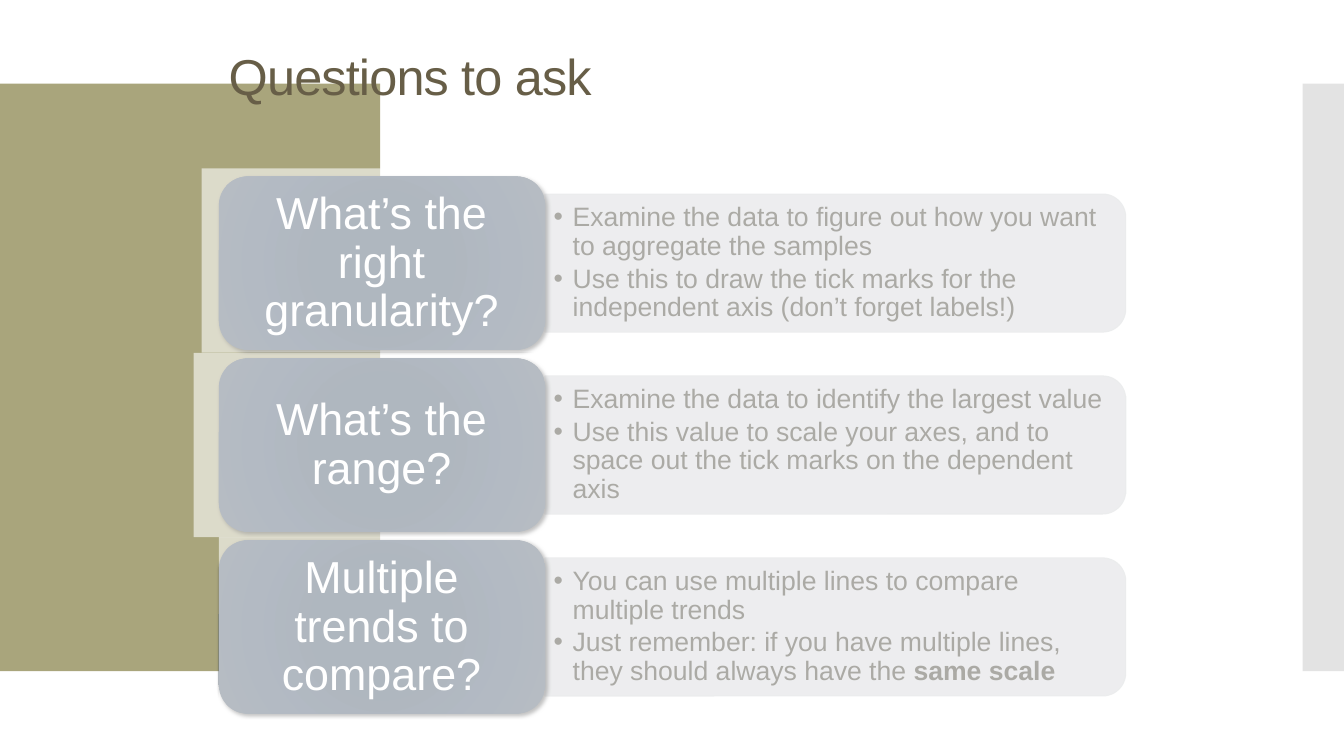
from pptx import Presentation
from pptx.dml.color import RGBColor
from pptx.enum.shapes import MSO_SHAPE
from pptx.enum.text import MSO_ANCHOR, PP_ALIGN
from pptx.oxml import parse_xml
from pptx.oxml.ns import nsdecls
from pptx.util import Inches, Pt

RECT = MSO_SHAPE.RECTANGLE
ROUND = MSO_SHAPE.ROUNDED_RECTANGLE
ROUND_TOP = MSO_SHAPE.ROUND_2_SAME_RECTANGLE
MIDDLE = MSO_ANCHOR.MIDDLE
LEFT, CENTER = PP_ALIGN.LEFT, PP_ALIGN.CENTER
NS = nsdecls("a")

COLORS = {
    "olive": "A9A57C",
    "gray": "C8C8C8",
    "title": "675E47",
    "panel": "CED0D3",
    "body": "2F2B20",
    "white": "FFFFFF",
    "black": "000000",
}
HEADING_STOPS = [(0, "384B60"), (34, "394B5F"), (70, "41546B"), (100, "4B5A6A")]

QUESTIONS = [
    ("What’s the right granularity?", [
        [("Examine the data to figure out how you want to aggregate the samples", False)],
        [("Use this to draw the tick marks for the independent axis "
          "(don’t forget labels!)", False)],
    ]),
    ("What’s the range?", [
        [("Examine the data to identify the largest value", False)],
        [("Use this value to scale your axes, and to space out the tick marks "
          "on the dependent axis", False)],
    ]),
    ("Multiple trends to compare?", [
        [("You can use multiple lines to compare multiple trends", False)],
        [("Just remember: if you have multiple lines, they should always have the ", False),
         ("same scale", True)],
    ]),
]
ROW_TOP, ROW_PITCH = 1.75, 1.805
COVERS = [(2, 1.67), (1.92, 3.5), (2.17, 5.33)]

prs = Presentation()
prs.slide_width, prs.slide_height = Inches(13.33), Inches(7.5)
s = prs.slides.add_slide(prs.slide_layouts[6])


def add_box(kind, x, y, w, h, color, opacity=100):
    """Add a shape without outline or shadow; opacity is a percentage."""
    sp = s.shapes.add_shape(kind, Inches(x), Inches(y), Inches(w), Inches(h))
    sp.shadow.inherit = False
    sp.line.fill.background()
    sp.fill.solid()
    sp.fill.fore_color.rgb = RGBColor.from_string(COLORS[color])
    if opacity < 100:
        clr = sp.fill._xPr.solidFill[0]
        clr.append(parse_xml(f'<a:alpha {NS} val="{opacity * 1000}"/>'))
    return sp


def add_text(x, y, w, h, paragraphs, size, color, inset, align=LEFT,
             bullets=False, tracking=None):
    """Add a text box; each paragraph is a list of (text, bold) runs."""
    tf = s.shapes.add_textbox(Inches(x), Inches(y), Inches(w), Inches(h)).text_frame
    tf.word_wrap = True
    tf.vertical_anchor = MIDDLE
    tf.margin_left = tf.margin_right = Inches(inset[0])
    tf.margin_top = tf.margin_bottom = Inches(inset[1])
    for i, runs in enumerate(paragraphs):
        p = tf.add_paragraph() if i else tf.paragraphs[0]
        p.alignment = align
        p.line_spacing = 0.9
        if bullets:
            p.level = 1
            p.space_before = Pt(2.9 if i else 0)
            pPr = p._p.get_or_add_pPr()
            pPr.set("marL", str(Inches(0.19)))
            pPr.set("indent", str(-Inches(0.19)))
            pPr.append(parse_xml(
                f'<a:buClr {NS}><a:srgbClr val="{COLORS[color]}"/></a:buClr>'))
            pPr.append(parse_xml(f'<a:buFont {NS} typeface="Arial"/>'))
            pPr.append(parse_xml(f'<a:buChar {NS} char="•"/>'))
        for text, bold in runs:
            r = p.add_run()
            r.text = text
            r.font.name, r.font.size, r.font.bold = "Arial", Pt(size), bold
            r.font.color.rgb = RGBColor.from_string(COLORS[color])
            if tracking is not None:
                r._r.get_or_add_rPr().set("spc", str(round(tracking * 100)))


# Side bands and title
add_box(RECT, 0, 0.83, 3.77, 5.83, "olive")
add_box(RECT, 12.92, 0.83, 0.42, 5.83, "gray", opacity=50)
add_text(2.17, 0.25, 9, 1.08, [[("Questions to ask", False)]], 36, "title",
         inset=(0.1, 0.05), tracking=-0.6)

# One row per question: answer panel on the right, heading on the left
for row, (heading, answers) in enumerate(QUESTIONS):
    top = ROW_TOP + row * ROW_PITCH

    panel = add_box(ROUND_TOP, 7.6, top - 2.02, 1.37, 5.76, "panel", opacity=90)
    panel.rotation = 90
    panel.adjustments[0], panel.adjustments[1] = 0.167, 0
    panel.line.color.rgb = RGBColor.from_string(COLORS["panel"])
    panel.line.width = Pt(0.75)
    panel.line.fill._xPr.solidFill[0].append(parse_xml(f'<a:alpha {NS} val="90000"/>'))
    add_text(5.41, top + 0.24, 5.69, 1.24, answers, 19, "body",
             inset=(0.08, 0.04), bullets=True)

    card = add_box(ROUND, 2.17, top, 3.24, 1.72, "white")
    card.adjustments[0] = 0.167
    spPr = card._element.spPr
    stops = "".join(f'<a:gs pos="{pos * 1000}"><a:srgbClr val="{color}"/></a:gs>'
                    for pos, color in HEADING_STOPS)
    spPr.replace(spPr.solidFill, parse_xml(
        f'<a:gradFill {NS} rotWithShape="1"><a:gsLst>{stops}</a:gsLst>'
        '<a:path path="circle"><a:fillToRect l="50000" t="50000" r="50000" b="50000"/>'
        '</a:path></a:gradFill>'))
    spPr.effectLst.append(parse_xml(
        f'<a:outerShdw {NS} blurRad="{Pt(3)}" dist="{Pt(2)}" dir="{45 * 60000}" '
        f'algn="ctr" rotWithShape="0"><a:srgbClr val="{COLORS["black"]}">'
        '<a:alpha val="60000"/></a:srgbClr></a:outerShdw>'))
    add_text(2.25, top + 0.09, 3.07, 1.55, [[(heading, False)]], 32, "white",
             inset=(0.13, 0.07), align=CENTER)

# Translucent covers that fade every row
for x, y in COVERS:
    add_box(RECT, x, y, 9.25, 1.83, "white", opacity=60)

prs.save("out.pptx")
